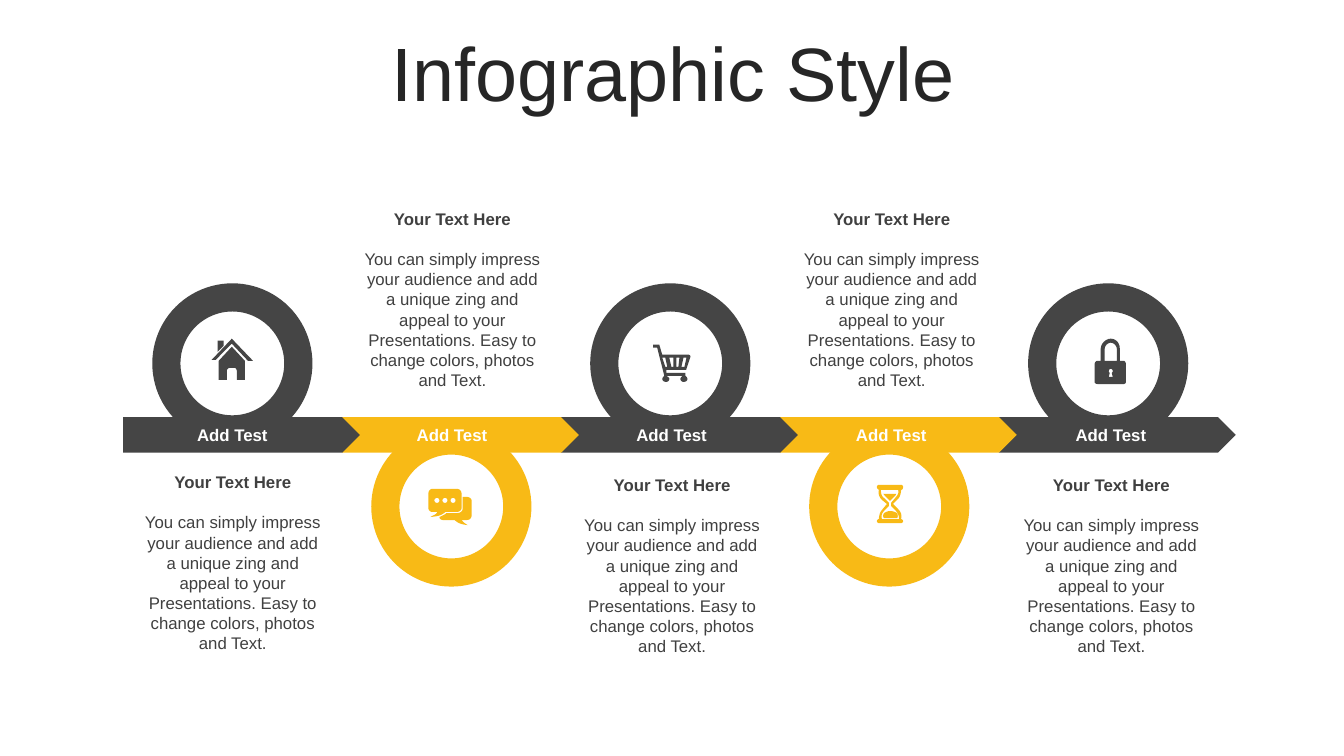
import pptx
import pptx.dml.color
import pptx.enum.shapes
import pptx.enum.text
import pptx.util

Pt = pptx.util.Pt
SHAPES = pptx.enum.shapes.MSO_SHAPE
ANCHOR = pptx.enum.text.MSO_ANCHOR

COLORS = {
    "dark": "454545",
    "yellow": "F8BA16",
    "title": "262626",
    "text": "404040",
    "white": "FFFFFF",
}
FONT = "Arial"
TITLE = "Infographic Style"
LABEL = "Add Test"
HEADING = "Your Text Here"
BODY = ("You can simply impress your audience and add a unique zing and appeal "
        "to your Presentations. Easy to change colors, photos and Text.")

# Icon outlines: M move, L line, C cubic curve, Z close.
HOUSE = """
M 20 8 L 33 22 L 33 41 L 25 41 L 25 32 C 25 31 24 29 23 29 L 18 29
C 16 29 15 31 15 32 L 15 41 L 7 41 L 7 22 Z
M 6 2 L 12 2 L 12 7 L 6 13 Z
M 20 0 L 41 22 L 36 22 L 20 5 L 4 21 L 0 21 Z
"""
CHAT_DOT = "M {0} 9 c -1.4 0 -2.5 1.1 -2.5 2.5 c 0 1.4 1.1 2.5 2.5 2.5 " \
           "c 1.4 0 2.5 -1.1 2.5 -2.5 c 0 -1.4 -1.1 -2.5 -2.5 -2.5 Z "
CHAT = "".join(CHAT_DOT.format(x) for x in (8.5, 16.5, 24.5)) + """
M 34 8 L 38 8 C 41 8 43 10 43 12 L 43 26 C 43 29 41 31 38 31 L 33 31
C 34 32 34 33 39 36 C 31 35 30 34 26 31 L 15 31 C 13 31 11 30 11 28
C 13 27 16 26 18 24 L 29 24 C 32 24 34 22 34 20 Z
M 4 0 L 28 0 C 31 0 33 2 33 5 L 33 19 C 33 21 31 23 28 23 L 17 23
C 12 27 10 27 2 28 C 7 25 7 26 9 23 L 4 23 C 2 23 0 21 0 19 L 0 5
C 0 2 2 0 4 0 Z
"""
CART = """
M 30 13 L 28 22 L 31 22 L 33 13 Z
M 23 13 L 23 22 L 25 22 L 26 13 Z
M 16 13 L 18 22 L 20 22 L 20 13 Z
M 9 13 L 12 22 L 14 22 L 12 13 Z
M 6 0 L 9 10 L 35 10 C 36 10 37 11 37 12 L 33 24 C 33 25 33 25 32 25
L 13 25 L 13 28 L 32 28 L 32 31 C 33 32 34 33 34 34 C 34 36 32 37 30 37
C 29 37 27 36 27 34 C 27 33 28 32 29 31 L 14 31 L 14 32
C 15 32 16 33 16 34 C 16 36 14 37 13 37 C 11 37 9 36 9 34
C 9 33 10 32 11 31 L 4 3 L 0 3 L 0 0 Z
"""
HOURGLASS = """
M 13 26 C 16 26 18 27 20 28 C 21 30 21 32 20 33 L 7 33 C 6 32 6 30 7 28
C 9 27 11 26 13 26 Z
M 6 9 L 19 9 C 19 9 19 10 18 11 L 13 16 L 8 11 C 7 10 7 9 6 9 Z
M 4 5 C 4 7 4 11 7 13 L 12 18 L 12 21 L 7 26 C 5 28 4 31 5 34 L 22 34
C 22 31 21 28 19 26 L 14 21 L 14 18 L 19 12 C 21 10 22 7 21 5 Z
M 2 0 L 24 0 C 25 0 26 1 26 2 C 26 4 25 5 24 5 C 24 8 23 12 21 14
L 16 19 L 21 24 C 24 27 25 30 24 34 C 25 34 26 35 26 36
C 26 37 25 38 24 38 L 2 38 C 1 38 0 37 0 36 C 0 35 1 34 2 34
C 2 31 3 27 5 25 L 10 19 L 5 15 C 2 12 1 8 2 5 C 1 4 0 4 0 2
C 0 1 1 0 2 0 Z
"""
LOCK = """
M 16 30 C 15 30 14 31 14 32 C 14 33 14 33 15 34 L 14 38 L 18 38 L 17 34
C 18 33 18 33 18 32 C 18 31 17 30 16 30 Z
M 16 4 C 13 4 10 7 10 10 L 10 22 L 22 22 L 22 10 C 22 7 19 4 16 4 Z
M 16 0 C 21 0 25 4 25 10 L 25 22 L 29 22 C 30 22 31 24 31 25 L 31 43
C 31 44 30 45 29 45 L 3 45 C 1 45 0 44 0 43 L 0 25 C 0 24 1 22 3 22
L 6 22 L 6 10 C 6 5 11 0 16 0 Z
"""

# Icon outline, icon left and top, heading top
STEPS = [
    (HOUSE, 151.2, 241.9, 333.4),
    (CHAT, 306, 349.2, 145.4),
    (CART, 466.6, 246.2, 335.5),
    (HOURGLASS, 626.4, 346.3, 145.4),
    (LOCK, 781.9, 241.9, 335.5),
]
ARROW_LEFT, ARROW_TOP, ARROW_WIDTH, ARROW_HEIGHT = 87.9, 298, 169.2, 25.4
ARROW_PITCH, TEXT_PITCH = 156.4, 156.9
RING_SIZE, RING_INDENT, RING_ABOVE, RING_BELOW = 114.4, 20.9, 202.4, 304.6
ICON_UNIT, ICON_DETAIL, CURVE_PARTS = 0.72, 100, 6

prs = pptx.Presentation()
prs.slide_width, prs.slide_height = Pt(960), Pt(540)
slide = prs.slides.add_slide(prs.slide_layouts[6])


def rgb(name):
    return pptx.dml.color.RGBColor.from_string(COLORS[name])


def paint(shape, color):
    shape.shadow.inherit = False
    shape.fill.solid()
    shape.fill.fore_color.rgb = rgb(color)
    shape.line.fill.background()


def add_preset(kind, left, top, width, height, color):
    shape = slide.shapes.add_shape(kind, Pt(left), Pt(top), Pt(width), Pt(height))
    paint(shape, color)
    return shape


def add_text(text, left, top, width, height, size=12, color="text", bold=False,
             anchor=ANCHOR.TOP, line_spacing=1.0):
    box = slide.shapes.add_textbox(Pt(left), Pt(top), Pt(width), Pt(height))
    frame = box.text_frame
    frame.word_wrap = True
    frame.vertical_anchor = anchor
    paragraph = frame.paragraphs[0]
    paragraph.text = text
    paragraph.alignment = pptx.enum.text.PP_ALIGN.CENTER
    paragraph.line_spacing = line_spacing
    font = paragraph.font
    font.name, font.size, font.bold = FONT, Pt(size), bold
    font.color.rgb = rgb(color)


def contours(outline):
    """Turn an outline into lists of points, with curves cut into short lines."""
    result, words = [], iter(outline.split())
    for command in words:
        if command == "Z":
            continue
        pairs = 3 if command in "Cc" else 1
        points = [(float(next(words)), float(next(words))) for _ in range(pairs)]
        if command == "M":
            result.append(points)
            continue
        start = result[-1][-1]
        if command == "c":
            points = [(start[0] + x, start[1] + y) for x, y in points]
        if pairs == 1:
            result[-1] += points
            continue
        for part in range(1, CURVE_PARTS + 1):
            t = part / CURVE_PARTS
            weights = ((1 - t) ** 3, 3 * t * (1 - t) ** 2, 3 * t * t * (1 - t), t ** 3)
            result[-1].append(tuple(
                sum(w * p[axis] for w, p in zip(weights, [start] + points))
                for axis in (0, 1)))
    return result


def add_icon(outline, left, top, color):
    loops = [[(x * ICON_DETAIL, y * ICON_DETAIL) for x, y in loop]
             for loop in contours(outline)]
    builder = slide.shapes.build_freeform(*loops[0][0], scale=Pt(ICON_UNIT) / ICON_DETAIL)
    for index, loop in enumerate(loops):
        if index:
            builder.move_to(*loop[0])
        builder.add_line_segments(loop[1:], close=True)
    paint(builder.convert_to_shape(Pt(left), Pt(top)), color)


add_text(TITLE, 25.2, 26.6, 911.5, 56.9, size=54, color="title",
         anchor=ANCHOR.MIDDLE, line_spacing=0.9)

# Each arrow overlaps the next one, so the last goes to the back.
for index, (icon, icon_left, icon_top, heading_top) in reversed(list(enumerate(STEPS))):
    color, ring_top = (("yellow", RING_BELOW) if index % 2 else ("dark", RING_ABOVE))
    arrow_left = ARROW_LEFT + index * ARROW_PITCH
    add_preset(SHAPES.PENTAGON, arrow_left, ARROW_TOP, ARROW_WIDTH, ARROW_HEIGHT, color)
    ring = add_preset(SHAPES.DONUT, arrow_left + RING_INDENT, ring_top,
                      RING_SIZE, RING_SIZE, color)
    ring.adjustments[0] = 0.176
    add_icon(icon, icon_left, icon_top, color)

    text_shift = index * TEXT_PITCH
    add_text(LABEL, 122.4 + text_shift, 299.5, 87.1, 21.8, color="white", bold=True)
    add_text(HEADING, 96.1 + text_shift, heading_top, 140.4, 21.8, bold=True)
    add_text(BODY, 96.1 + text_shift, heading_top + 28.8, 140.4, 108.7)

prs.save("out.pptx")
